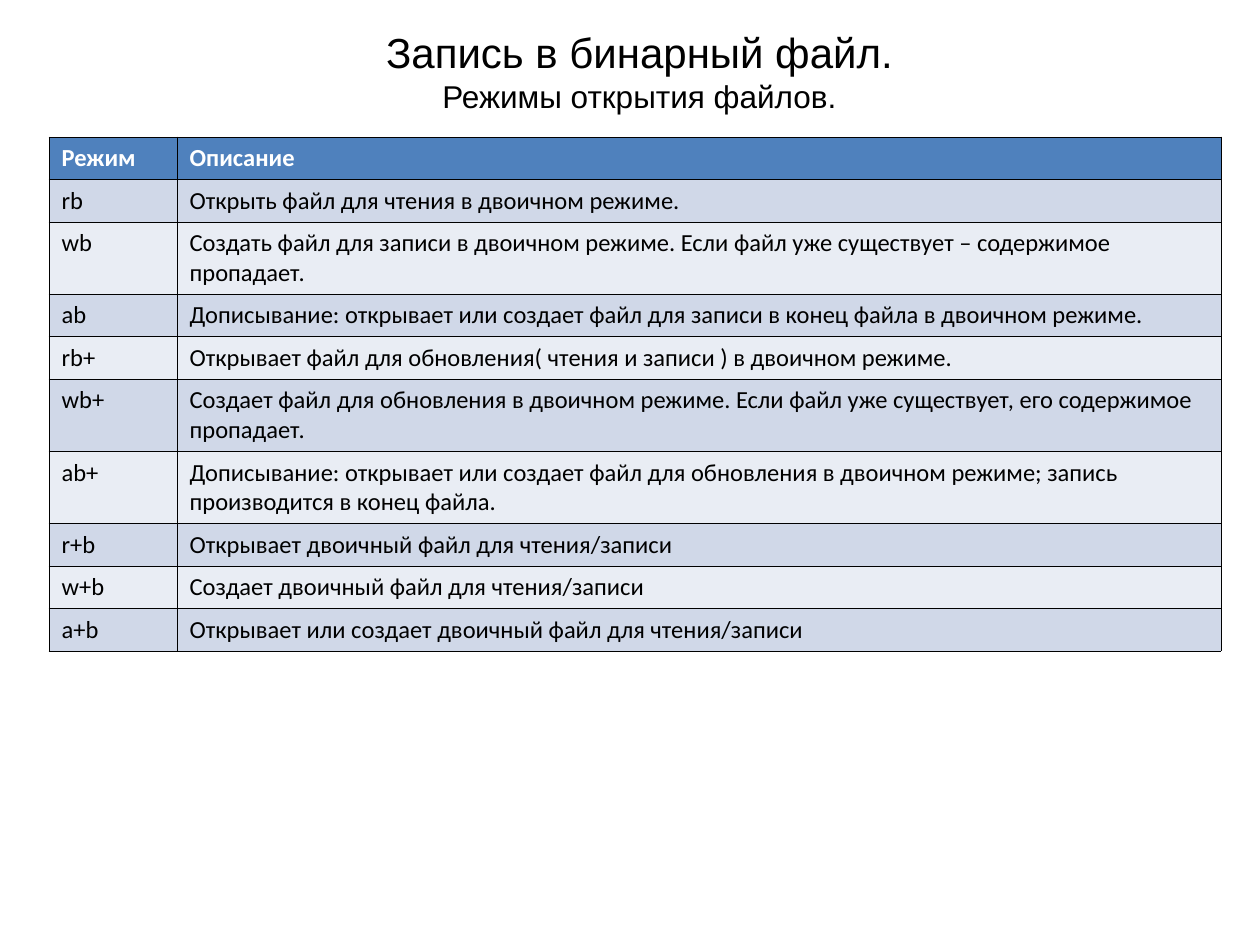
from lxml.etree import SubElement
from pptx import Presentation
from pptx.dml.color import RGBColor
from pptx.enum.text import MSO_ANCHOR, PP_ALIGN
from pptx.oxml.ns import qn
from pptx.util import Pt

PX = 914400 / 126  # EMU per px
SLIDE_W, SLIDE_H = 1260, 945

BLACK = RGBColor(0x00, 0x00, 0x00)
WHITE = RGBColor(0xFF, 0xFF, 0xFF)
HEADER_BLUE = RGBColor(0x4F, 0x81, 0xBD)
BAND_DARK = RGBColor(0xD0, 0xD8, 0xE8)
BAND_LIGHT = RGBColor(0xE9, 0xED, 0xF4)

TITLE_BOX = (29, 20, 1221, 101)
TABLE_BOX = (49, 137, 1172, 512)
MODE_COL_W = 128
ROW_H, TALL_ROW_H = 42, 72
TALL_ROWS = {"wb", "wb+", "ab+"}  # descriptions on two lines

MODES = [
    ("Режим", "Описание"),
    ("rb", "Открыть файл для чтения в двоичном режиме."),
    ("wb", "Создать файл для записи в двоичном режиме. "
           "Если файл уже существует – содержимое пропадает."),
    ("ab", "Дописывание: открывает или создает файл для записи "
           "в конец файла в двоичном режиме."),
    ("rb+", "Открывает файл для обновления( чтения и записи ) в двоичном режиме."),
    ("wb+", "Создает файл для обновления в двоичном режиме. "
            "Если файл уже существует, его содержимое пропадает."),
    ("ab+", "Дописывание: открывает или создает файл для обновления "
            "в двоичном режиме; запись производится в конец файла."),
    ("r+b", "Открывает двоичный файл для чтения/записи"),
    ("w+b", "Создает двоичный файл для чтения/записи"),
    ("a+b", "Открывает или создает двоичный файл для чтения/записи"),
]


def px(n):
    return round(n * PX)


def write(p, text, size=14, font="Calibri", color=BLACK, bold=False, align=PP_ALIGN.LEFT):
    p.alignment = align
    r = p.add_run()
    r.text = text
    r.font.size = Pt(size)
    r.font.name = font
    r.font.bold = bold
    r.font.color.rgb = color


def set_borders(cell, color=BLACK, width=0.45):
    tc_pr = cell._tc.get_or_add_tcPr()
    for i, side in enumerate(("a:lnL", "a:lnR", "a:lnT", "a:lnB")):
        ln = SubElement(tc_pr, qn(side), w=str(Pt(width)))
        fill = SubElement(ln, qn("a:solidFill"))
        SubElement(fill, qn("a:srgbClr"), val=str(color))
        tc_pr.insert(i, ln)  # borders come before the fill


def add_title(s, box):
    sp = s.shapes.title
    sp.left, sp.top, sp.width, sp.height = map(px, box)
    tf = sp.text_frame
    tf.word_wrap = True
    tf.vertical_anchor = MSO_ANCHOR.TOP
    write(tf.paragraphs[0], "Запись в бинарный файл.", size=24, font="Arial",
          align=PP_ALIGN.CENTER)
    write(tf.add_paragraph(), "Режимы открытия файлов.", size=18, font="Arial",
          align=PP_ALIGN.CENTER)


def add_modes_table(s, box):
    table = s.shapes.add_table(len(MODES), 2, *map(px, box)).table
    table.columns[0].width = px(MODE_COL_W)
    table.columns[1].width = px(box[2] - MODE_COL_W)
    for i, row in enumerate(MODES):
        header = i == 0
        band = BAND_DARK if i % 2 else BAND_LIGHT
        table.rows[i].height = px(TALL_ROW_H if row[0] in TALL_ROWS else ROW_H)
        for j, text in enumerate(row):
            cell = table.cell(i, j)
            cell.fill.solid()
            cell.fill.fore_color.rgb = HEADER_BLUE if header else band
            set_borders(cell)
            write(cell.text_frame.paragraphs[0], text,
                  color=WHITE if header else BLACK, bold=header)


def main():
    prs = Presentation()
    prs.slide_width, prs.slide_height = px(SLIDE_W), px(SLIDE_H)
    s = prs.slides.add_slide(prs.slide_layouts[5])  # title only

    # Heading
    add_title(s, TITLE_BOX)
    # File opening modes
    add_modes_table(s, TABLE_BOX)

    prs.save("out.pptx")


if __name__ == "__main__":
    main()
